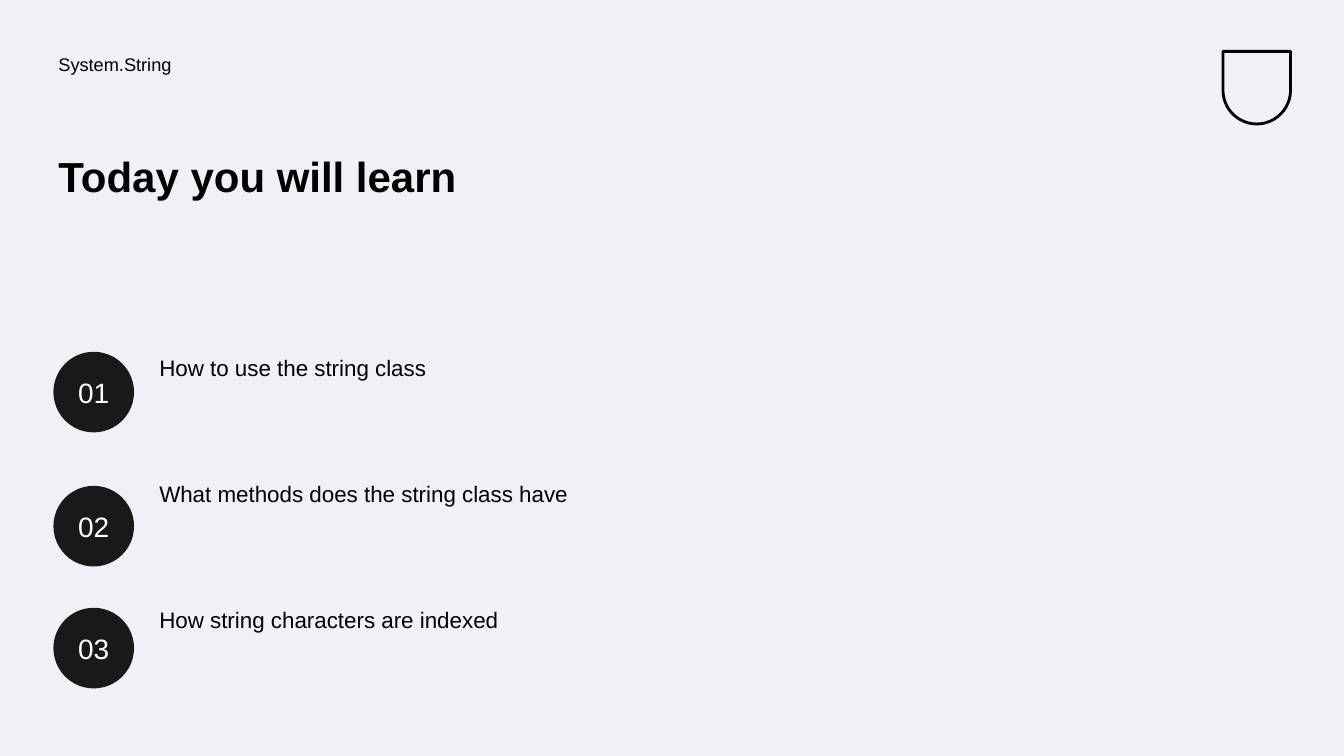
from pptx import Presentation
from pptx.dml.color import RGBColor
from pptx.enum.shapes import MSO_SHAPE
from pptx.enum.text import MSO_ANCHOR, PP_ALIGN
from pptx.util import Inches, Pt

COLORS = {
    "background": "F0F1F6",
    "text": "000000",
    "badge": "191919",
    "number": "FEFFFF",
}
LEFT = 0.53
TOPICS_TOP = 3.49
TOPIC_STEP = 1.25
BADGE_SIZE = 0.8
# Each topic with the top of its number badge
TOPICS = [
    ("How to use the string class", 3.49),
    ("What methods does the string class have", 4.82),
    ("How string characters are indexed", 6.03),
]


def color(name):
    return RGBColor.from_string(COLORS[name])


def write(shape, text, size, ink="text", bold=False, spacing=0.9,
          align=PP_ALIGN.LEFT, anchor=MSO_ANCHOR.TOP):
    frame = shape.text_frame
    frame.text = text
    frame.word_wrap = True
    frame.vertical_anchor = anchor
    frame.margin_left = frame.margin_right = Inches(0.05)
    frame.margin_top = frame.margin_bottom = Inches(0.05)
    paragraph = frame.paragraphs[0]
    paragraph.alignment = align
    paragraph.line_spacing = spacing
    font = paragraph.runs[0].font
    font.name = "Arial"
    font.size = Pt(size)
    font.bold = bold
    font.color.rgb = color(ink)


def add_title(slide, text):
    title = slide.shapes.title
    title.left, title.top = Inches(LEFT), Inches(1.5)
    title.width, title.height = Inches(5.64), Inches(1.49)
    write(title, text, 30, bold=True)


def add_label(slide, text, left, top, width, height, size):
    label = slide.shapes.add_textbox(
        Inches(left), Inches(top), Inches(width), Inches(height))
    write(label, text, size)


def add_badge(slide, number, top):
    badge = slide.shapes.add_shape(
        MSO_SHAPE.OVAL, Inches(LEFT), Inches(top),
        Inches(BADGE_SIZE), Inches(BADGE_SIZE))
    badge.shadow.inherit = False
    badge.fill.solid()
    badge.fill.fore_color.rgb = color("badge")
    badge.line.fill.background()
    write(badge, f"{number:02d}", 20, ink="number", spacing=1.0,
          align=PP_ALIGN.CENTER, anchor=MSO_ANCHOR.MIDDLE)


def add_shield(slide):
    shield = slide.shapes.add_shape(
        MSO_SHAPE.ROUND_2_SAME_RECTANGLE,
        Inches(12.13), Inches(0.51), Inches(0.67), Inches(0.72))
    shield.adjustments[0] = 0
    shield.adjustments[1] = 0.5
    shield.shadow.inherit = False
    shield.fill.background()
    shield.line.color.rgb = color("text")
    shield.line.width = Pt(2)


def main():
    deck = Presentation()
    deck.slide_width, deck.slide_height = Inches(13.33), Inches(7.5)
    slide = deck.slides.add_slide(deck.slide_layouts[5])
    slide.background.fill.solid()
    slide.background.fill.fore_color.rgb = color("background")

    add_shield(slide)
    add_label(slide, "System.String", LEFT, 0.5, 6.14, 0.5, 13)
    add_title(slide, "Today you will learn")
    for index, (topic, badge_top) in enumerate(TOPICS):
        add_label(slide, topic, 1.53, TOPICS_TOP + index * TOPIC_STEP,
                  4.63, 0.99, 16)
        add_badge(slide, index + 1, badge_top)

    deck.save("out.pptx")


if __name__ == "__main__":
    main()
